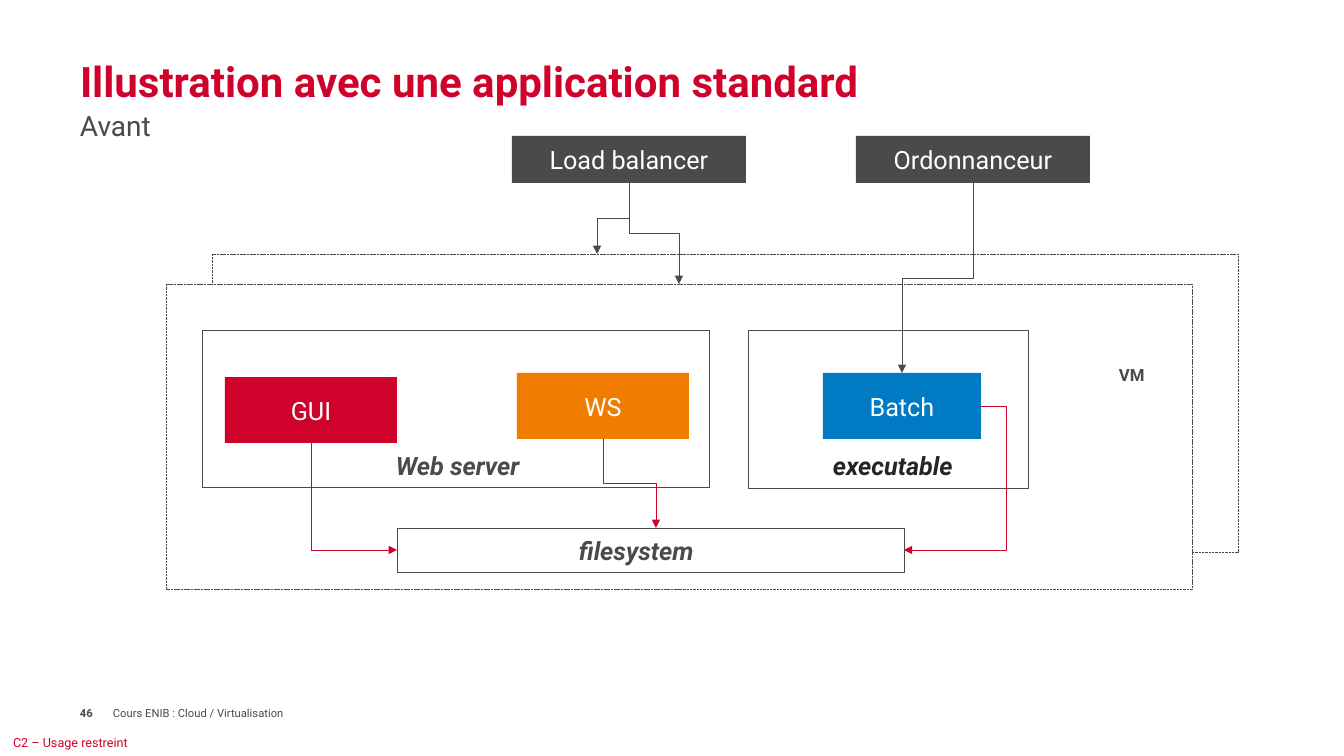
from lxml import etree
from pptx import Presentation
from pptx.dml.color import RGBColor
from pptx.enum.dml import MSO_LINE
from pptx.enum.shapes import MSO_CONNECTOR, MSO_SHAPE
from pptx.enum.text import MSO_ANCHOR, MSO_AUTO_SIZE, PP_ALIGN
from pptx.oxml.ns import qn
from pptx.util import Pt

EMU_PER_PX = 914400 / 100.8
RECT, ELBOW = MSO_SHAPE.RECTANGLE, MSO_CONNECTOR.ELBOW
DASHED = MSO_LINE.SQUARE_DOT
TOP, MIDDLE, BOTTOM = MSO_ANCHOR.TOP, MSO_ANCHOR.MIDDLE, MSO_ANCHOR.BOTTOM
LEFT, CENTER = PP_ALIGN.LEFT, PP_ALIGN.CENTER
NO_AUTOFIT = MSO_AUTO_SIZE.NONE
SIDE_TOP, SIDE_LEFT, SIDE_BOTTOM, SIDE_RIGHT = range(4)
RED, GREY, WHITE = "CF022B", "4A4A4A", "FFFFFF"
ORANGE, BLUE, BLACK = "F07D00", "007AC2", "252525"
FONT = "Roboto"


def px(length):
    """Turn pixels into EMU."""
    return round(length * EMU_PER_PX)


def color(hex_value):
    """Turn a hex string into a colour."""
    return RGBColor.from_string(hex_value)


def write(shape, text, size, ink, bold=False, italic=False, align=LEFT,
          anchor=TOP, inset=True, wrap=True):
    """Write one run of text into a shape."""
    frame = shape.text_frame
    frame.auto_size = NO_AUTOFIT
    frame.word_wrap = wrap
    frame.vertical_anchor = anchor
    if not inset:
        frame.margin_left = frame.margin_right = 0
        frame.margin_top = frame.margin_bottom = 0
    paragraph = frame.paragraphs[0]
    paragraph.alignment = align
    run = paragraph.add_run()
    run.text = text
    font = run.font
    font.name, font.size, font.bold, font.italic = FONT, Pt(size), bold, italic
    font.color.rgb = color(ink)


def label(slide, box, text, size, ink, **style):
    """Add a text box."""
    write(slide.shapes.add_textbox(*map(px, box)), text, size, ink, **style)


def rectangle(slide, box, fill=None, line_width=None, dash=None):
    """Add a rectangle, filled or outlined."""
    shape = slide.shapes.add_shape(RECT, *map(px, box))
    shape.shadow.inherit = False
    if fill:
        shape.fill.solid()
        shape.fill.fore_color.rgb = color(fill)
    else:
        shape.fill.background()
    if line_width:
        shape.line.color.rgb = color(GREY)
        shape.line.width = Pt(line_width)
        shape.line.dash_style = dash
    else:
        shape.line.fill.background()
    return shape


def component(slide, box, name, fill):
    """Add a filled block with a centred name."""
    block = rectangle(slide, box, fill)
    write(block, name, 18, WHITE, align=CENTER, anchor=MIDDLE)
    return block


def side_point(shape, side):
    """Return the middle of one side of a shape."""
    across = (1, 0, 1, 2)[side]
    down = (0, 1, 2, 1)[side]
    return (shape.left + shape.width * across // 2,
            shape.top + shape.height * down // 2)


def flow(slide, source, side, ink, target=None, target_side=None, end=None,
         bend=50000):
    """Draw an elbow arrow to a block's side or to a free end point."""
    x1, y1 = side_point(source, side)
    x2, y2 = end or side_point(target, target_side)
    arrow = slide.shapes.add_connector(ELBOW, x1, y1, x2, y2)
    arrow.begin_connect(source, side)
    if target is not None:
        arrow.end_connect(target, target_side)
    properties = arrow._element.spPr
    geometry = properties.find(qn("a:prstGeom"))
    if side == SIDE_BOTTOM:
        width, height = y2 - y1, abs(x2 - x1)
        arrow.left, arrow.top = (x1 + x2 - width) // 2, (y1 + y2 - height) // 2
        arrow.width, arrow.height = width, height
        frame = properties.find(qn("a:xfrm"))
        rightward = x2 > x1
        frame.set("rot", str((270 if rightward else 90) * 60000))
        frame.set("flipH", "1" if rightward else "0")
        frame.set("flipV", "0")
    if target_side == SIDE_LEFT:
        geometry.set("prst", "bentConnector2")
    else:
        guides = geometry.find(qn("a:avLst"))
        if guides is None:
            guides = etree.SubElement(geometry, qn("a:avLst"))
        etree.SubElement(guides, qn("a:gd"), name="adj1", fmla=f"val {bend}")
    arrow.line.color.rgb = color(ink)
    arrow.line.width = Pt(0.5)
    etree.SubElement(properties.find(qn("a:ln")), qn("a:tailEnd"), type="triangle")
    etree.SubElement(properties, qn("a:effectLst"))


def heading(slide, left, top, width):
    """Place the title and its subtitle."""
    title = slide.shapes.title
    title.left, title.top = px(left), px(top)
    title.width, title.height = px(width), px(103)
    write(title, "Illustration avec une application standard", 30, RED,
          bold=True, anchor=BOTTOM, inset=False)
    label(slide, (left, top + 105, width, 39), "Avant", 20, GREY, inset=False)


def footer(slide, left, top):
    """Place the page number, course name and classification."""
    label(slide, (left, top, 33, 28), "46", 8, GREY, bold=True,
          anchor=MIDDLE, inset=False)
    label(slide, (left + 33, top, 397, 28), "Cours ENIB : Cloud / Virtualisation",
          8, GREY, anchor=MIDDLE, inset=False)
    label(slide, (13, top + 30, 144, 27), "C2 – Usage restreint", 9, RED,
          anchor=MIDDLE, inset=False)


def virtual_machines(slide, left, top, width, height):
    """Draw the stacked machines and return the parts that arrows join."""
    back = rectangle(slide, (left + 46, top - 30, width, 298), None, 0.25, DASHED)
    front = rectangle(slide, (left, top, width, height), WHITE, 0.25, DASHED)
    label(slide, (left + 943, top + 76, 47, 30), "VM", 12, GREY, bold=True,
          wrap=False)
    web_left, exe_left, group_top = left + 36, left + 582, top + 46
    rectangle(slide, (web_left, group_top, 507, 157), None, 0.5)
    rectangle(slide, (exe_left, group_top, 280, 158), None, 0.5)
    gui = component(slide, (web_left + 23, group_top + 47, 172, 66), "GUI", RED)
    ws = component(slide, (web_left + 315, group_top + 43, 172, 66), "WS", ORANGE)
    batch = component(slide, (exe_left + 75, group_top + 43, 158, 66), "Batch", BLUE)
    label(slide, (web_left + 184, group_top + 115, 184, 40), "Web server", 18,
          GREY, bold=True, italic=True)
    label(slide, (exe_left + 75, group_top + 115, 160, 40), "executable", 18,
          BLACK, bold=True, italic=True, wrap=False)
    files_left, files_top = left + 231, top + 244
    filesystem = rectangle(slide, (files_left, files_top, 507, 44), None, 0.5)
    label(slide, (files_left + 172, files_top + 2, 173, 40), "filesystem", 18,
          GREY, bold=True, italic=True)
    flow(slide, gui, SIDE_BOTTOM, RED, filesystem, SIDE_LEFT)
    flow(slide, ws, SIDE_BOTTOM, RED, end=(px(files_left + 259), filesystem.top))
    flow(slide, batch, SIDE_RIGHT, RED, filesystem, SIDE_RIGHT, bend=-33200)
    return back, front, batch


def dispatchers(slide, left, top, back, front, batch):
    """Draw the load balancer and the scheduler with their arrows."""
    balancer = component(slide, (left, top, 234, 47), "Load balancer", GREY)
    scheduler = component(slide, (left + 344, top, 234, 47), "Ordonnanceur", GREY)
    flow(slide, balancer, SIDE_BOTTOM, GREY, end=(px(left + 85), back.top))
    flow(slide, balancer, SIDE_BOTTOM, GREY, front, SIDE_TOP)
    flow(slide, scheduler, SIDE_BOTTOM, GREY, batch, SIDE_TOP)


def main():
    """Build and save the slide."""
    deck = Presentation()
    deck.slide_width, deck.slide_height = px(1344), px(756)
    slide = deck.slides.add_slide(deck.slide_layouts[5])
    heading(slide, 80, 3, 1185)
    back, front, batch = virtual_machines(slide, 166, 284, 1026, 305)
    dispatchers(slide, 512, 136, back, front, batch)
    footer(slide, 80, 699)
    deck.save("out.pptx")


if __name__ == "__main__":
    main()
